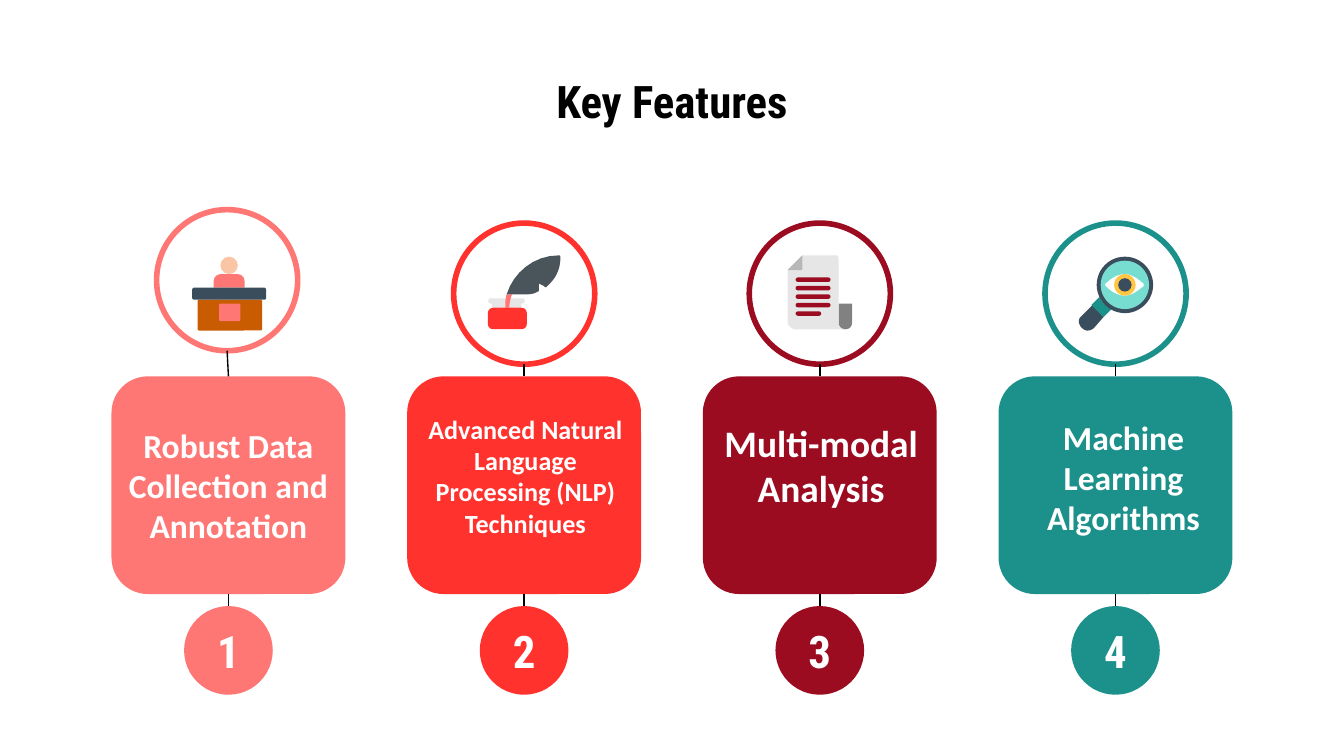
from dataclasses import dataclass
from typing import NamedTuple

from lxml import etree
from pptx import Presentation
from pptx import util as u
from pptx.dml.color import RGBColor
from pptx.enum import shapes, text
from pptx.oxml.ns import qn

COLORS = {
    "black": "000000", "white": "FFFFFF", "coral": "FF7774", "red": "FF322E",
    "wine": "9B0C21", "teal": "1C918B", "skin": "FAC5A5", "wood": "C95B00",
    "slate": "394D5C", "aqua": "77DDD0", "amber": "FFC543", "feather": "49545B",
    "paper": "E6E6E6", "fold": "B7B7B7", "curl": "818181",
}
HEAD, BODY = "Roboto Condensed", "Calibri"
OVAL = shapes.MSO_SHAPE.OVAL
ROUND = shapes.MSO_SHAPE.ROUNDED_RECTANGLE
ROUND_TOP = shapes.MSO_SHAPE.ROUND_2_SAME_RECTANGLE

WIDTH = 10
HEIGHT = WIDTH * 9 / 16
PITCH = 2.2
CARD_W, CARD_H, CARD_TOP = 1.74, 1.62, 2.8
RING, BADGE, LABEL_H = 1.05, 0.66, 0.38
GAP = 0.09
ICON_TOP, CELL = 1.9, 0.01  # icons sit on a fine grid, centred on the column


class Block(NamedTuple):
    """A preset shape on the icon grid; box is column, row, columns, rows."""
    kind: int
    box: tuple
    color: str
    adj: float | None = None


class Outline(NamedTuple):
    """Pairs are corners, sextuples are Bézier curves, all on the icon grid."""
    start: tuple
    steps: list
    color: str


@dataclass
class Feature:
    label: str
    size: int
    color: str
    label_dx: float
    label_top: float
    icon: list
    ring_dx: float = 0
    ring_rise: float = 0


SPEAKER = [
    Block(ROUND_TOP, (-11, 14, 23, 10), "coral", 0.5),
    Block(OVAL, (-6, 1, 13, 13), "skin"),
    Block(ROUND, (-23, 33, 48, 23), "wood", 0.05),
    Block(ROUND, (-27, 24, 55, 9), "slate", 0.17),
    Block(ROUND, (-7, 36, 16, 13), "coral", 0.1),
]
QUILL = [
    Outline((-25, 32), [(-27, 32, -28, 36, -24, 36), (-24, 39), (-2, 39), (-2, 36),
                        (1, 36, 1, 32, -1, 32)], "paper"),
    Outline((-13, 29), [(-14, 32, -14, 35, -14, 39), (-11, 39),
                        (-11, 35, -10, 32, -9, 29)], "coral"),
    Outline((26, 0), [(7, 0, -8, 13, -13, 29), (0, 29), (4, 29, 7, 29, 10, 27),
                      (11, 27, 11, 26, 11, 26), (11, 21), (15, 23),
                      (15, 24, 17, 24, 17, 23), (23, 18, 27, 11, 27, 2),
                      (27, 1, 27, 0, 26, 0)], "feather"),
    Block(ROUND, (-27, 39, 29, 16), "red", 0.24),
]
DOCUMENT = [
    Outline((14, 36), [(14, 50), (14, 53, 16, 55, 19, 55), (22, 55, 24, 53, 24, 50),
                       (24, 36)], "curl"),
    Outline((-13, 0), [(-24, 11), (-24, 49), (-24, 52, -21, 55, -18, 55), (19, 55),
                       (16, 55, 14, 53, 14, 50), (14, 2), (14, 1, 13, 0, 13, 0)], "paper"),
    Outline((-13, 0), [(-24, 11), (-15, 11), (-14, 11, -13, 11, -13, 10)], "fold"),
    *[Block(ROUND, (-18, 16.5 + 6.3 * row, 19 if row == 4 else 26, 3.3), "wine", 0.5)
      for row in range(5)],
]
MAGNIFIER = [
    Outline((-17, 37), [(-25, 45), (-28, 47, -28, 51, -25, 54),
                        (-24, 55, -22, 56, -21, 56), (-19, 56, -17, 55, -16, 54),
                        (-9, 46)], "slate"),
    Outline((-12, 31), [(-18, 37), (-9, 46), (-3, 40), (-7, 38, -10, 35, -12, 31)], "teal"),
    Block(OVAL, (-14, 1, 42, 42), "slate"),
    Block(OVAL, (-11, 4, 36, 36), "aqua"),
    Outline((7, 14), [(-1, 14, -7, 21, -7, 21), (-8, 21, -8, 22, -7, 23),
                      (-7, 23, -1, 30, 7, 30), (14, 30, 20, 23, 21, 23),
                      (21, 22, 21, 21, 21, 21), (20, 21, 14, 14, 7, 14)], "white"),
    Block(OVAL, (-1, 14, 16, 16), "amber"),
    Block(OVAL, (2, 17, 10, 10), "slate"),
]
FEATURES = [
    Feature("Robust Data Collection and Annotation", 18, "coral", 0, 3.42, SPEAKER, -0.01, 0.1),
    Feature("Advanced Natural Language Processing (NLP) Techniques", 14, "red",
            0.01, 3.35, QUILL),
    Feature("Multi-modal Analysis", 20, "wine", 0.01, 3.27, DOCUMENT),
    Feature("Machine Learning Algorithms", 18, "teal", 0.06, 3.36, MAGNIFIER),
]


def rgb(name: str) -> RGBColor:
    return RGBColor.from_string(COLORS[name])


def paint(sp, color: str, line: str | None = None) -> None:
    sp.shadow.inherit = False
    sp.fill.solid()
    sp.fill.fore_color.rgb = rgb(color)
    if line:
        sp.line.color.rgb = rgb(line)
        sp.line.width = u.Pt(3)
    else:
        sp.line.fill.background()


def add_block(group, kind: int, box: tuple, color: str, adj: float | None = None,
              line: str | None = None):
    sp = group.shapes.add_shape(kind, *map(u.Inches, box))
    if adj is not None:
        sp.adjustments[0] = adj
    paint(sp, color, line)
    return sp


def write(sp, words: str, size: int, font: str, color: str,
          anchor=text.MSO_ANCHOR.MIDDLE) -> None:
    tf = sp.text_frame
    tf.word_wrap = True
    tf.vertical_anchor = anchor
    tf.margin_left = tf.margin_right = tf.margin_top = tf.margin_bottom = u.Inches(0.1)
    tf.text = words
    p = tf.paragraphs[0]
    p.alignment = text.PP_ALIGN.CENTER
    p.font.size, p.font.name, p.font.bold = u.Pt(size), font, True
    p.font.color.rgb = rgb(color)


def add_link(group, *ends: float) -> None:
    c = group.shapes.add_connector(shapes.MSO_CONNECTOR.STRAIGHT, *map(u.Inches, ends))
    c.line.color.rgb = rgb("black")
    c.line.width = u.Pt(0.75)
    etree.SubElement(c._element.spPr, qn("a:effectLst"))


def bezier(points: list, steps: int = 8) -> list:
    """Sample a cubic curve, leaving out its first point."""
    weights = [((1 - t) ** 3, 3 * t * (1 - t) ** 2, 3 * t * t * (1 - t), t ** 3)
               for t in (n / steps for n in range(1, steps + 1))]
    return [tuple(sum(w * p[axis] for w, p in zip(ws, points)) for axis in (0, 1))
            for ws in weights]


def add_outline(group, outline: Outline, center: float) -> None:
    points = [outline.start]
    for step in outline.steps:
        pairs = list(zip(step[::2], step[1::2]))
        points += pairs if len(pairs) == 1 else bezier([points[-1], *pairs])
    emu = [(u.Inches(center + x * CELL), u.Inches(ICON_TOP + y * CELL)) for x, y in points]
    builder = group.shapes.build_freeform(*emu[0])
    builder.add_line_segments(emu[1:])
    paint(builder.convert_to_shape(), outline.color)


def add_icon(s, icon: list, center: float) -> None:
    group = s.shapes.add_group_shape()
    for part in icon:
        if isinstance(part, Outline):
            add_outline(group, part, center)
        else:
            x, y, w, h = (n * CELL for n in part.box)
            add_block(group, part.kind, (center + x, ICON_TOP + y, w, h), part.color, part.adj)


def add_feature(s, number: int, f: Feature, center: float) -> None:
    group = s.shapes.add_group_shape()
    left, bottom = center - CARD_W / 2, CARD_TOP + CARD_H
    ring_x, ring_bottom = center + f.ring_dx, CARD_TOP - GAP - f.ring_rise
    add_block(group, ROUND, (left, CARD_TOP, CARD_W, CARD_H), f.color, 0.167)
    add_block(group, OVAL, (ring_x - RING / 2, ring_bottom - RING, RING, RING),
              "white", line=f.color)
    add_link(group, center, CARD_TOP, ring_x, ring_bottom)
    add_link(group, center, bottom, center, bottom + GAP)
    badge = add_block(group, OVAL, (center - BADGE / 2, bottom + GAP, BADGE, BADGE), f.color)
    write(badge, str(number), 24, HEAD, "white")
    label = group.shapes.add_textbox(
        *map(u.Inches, (left + f.label_dx, f.label_top, CARD_W, LABEL_H)))
    write(label, f.label, f.size, BODY, "white")


def main() -> None:
    prs = Presentation()
    prs.slide_width, prs.slide_height = u.Inches(WIDTH), u.Inches(HEIGHT)
    s = prs.slides.add_slide(prs.slide_layouts[5])
    title = s.shapes.title
    title.left, title.top, title.width, title.height = map(u.Inches, (0.5, 0.45, 9, 0.63))
    write(title, "Key Features", 24, HEAD, "black", text.MSO_ANCHOR.TOP)

    centers = [WIDTH / 2 + (i - (len(FEATURES) - 1) / 2) * PITCH for i in range(len(FEATURES))]
    for number, (f, center) in enumerate(zip(FEATURES, centers), 1):
        add_feature(s, number, f, center)
    for f, center in zip(FEATURES, centers):
        add_icon(s, f.icon, center)
    prs.save("out.pptx")


if __name__ == "__main__":
    main()
